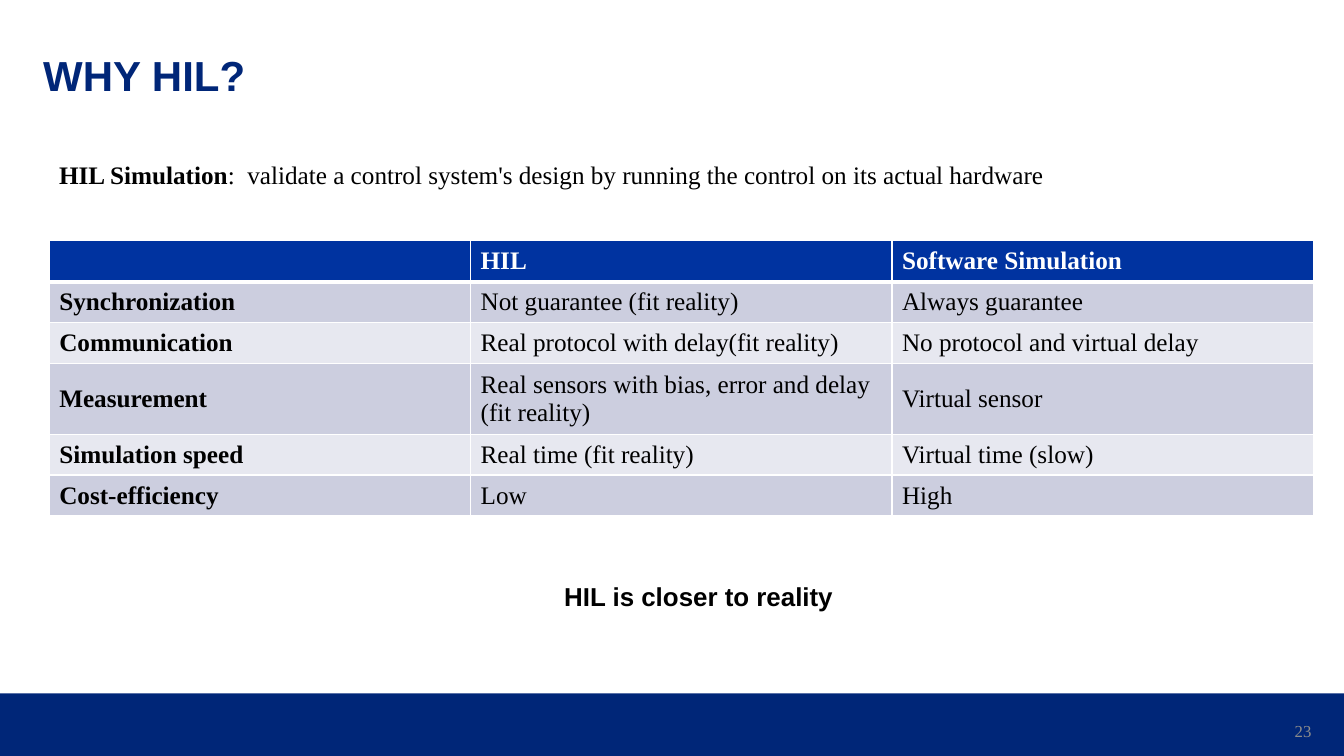
from lxml import etree
from pptx import Presentation
from pptx.dml.color import RGBColor
from pptx.enum.shapes import MSO_SHAPE
from pptx.enum.text import MSO_ANCHOR, PP_ALIGN
from pptx.oxml.ns import qn
from pptx.util import Cm, Pt

RECTANGLE = MSO_SHAPE.RECTANGLE
TOP, MIDDLE, BOTTOM = MSO_ANCHOR.TOP, MSO_ANCHOR.MIDDLE, MSO_ANCHOR.BOTTOM
LEFT, RIGHT = PP_ALIGN.LEFT, PP_ALIGN.RIGHT
SANS, SERIF = "Arial", "Times New Roman"
COLORS = {
    "navy": "002678",
    "header": "0033A0",
    "odd_row": "CCCEDF",
    "even_row": "E7E8F0",
    "white": "FFFFFF",
    "black": "000000",
    "gray": "8C8C8C",
}


def format_runs(paragraph, font_name, size, color, bold):
    for run in paragraph.runs:
        run.font.name = font_name
        run.font.size = Pt(size)
        run.font.bold = bold
        run.font.color.rgb = RGBColor.from_string(COLORS[color])


def add_text(box, text, font_name, size, color, bold, anchor=TOP, align=LEFT):
    shape = slide.shapes.add_textbox(*[Cm(length) for length in box])
    shape.text_frame.word_wrap = True
    shape.text_frame.vertical_anchor = anchor
    shape.text_frame.text = text
    paragraph = shape.text_frame.paragraphs[0]
    paragraph.alignment = align
    format_runs(paragraph, font_name, size, color, bold)
    return paragraph


presentation = Presentation()
presentation.slide_width = Cm(33.87)
presentation.slide_height = Cm(19.05)
slide = presentation.slides.add_slide(presentation.slide_layouts[6])

footer = slide.shapes.add_shape(RECTANGLE, 0, Cm(17.47), Cm(33.87), Cm(1.58))
footer.shadow.inherit = False
footer.fill.solid()
footer.fill.fore_color.rgb = RGBColor.from_string(COLORS["navy"])
footer.line.fill.background()

add_text((31.55, 17.91, 1.75, 1.02), "23", SERIF, 12, "gray", False, MIDDLE, RIGHT)
conclusion = add_text((13.97, 14.66, 7.6, 0.89), "HIL is closer to reality", SANS, 18.5, "black", True)
conclusion.line_spacing = 0.8
conclusion.space_after = Pt(12)
title = add_text((0.84, 1.17, 27.05, 1.5), "WHY HIL?", SANS, 30, "navy", True, BOTTOM)
title.line_spacing = 0.9

definition = add_text((1.24, 3.89, 31.85, 1.02), "HIL Simulation", SERIF, 18, "black", True)
explanation = definition.add_run()
explanation.text = ":  validate a control system's design by running the control on its actual hardware"
format_runs(definition, SERIF, 18, "black", False)
definition.runs[0].font.bold = True

rows = [
    ("", "HIL", "Software Simulation"),
    ("Synchronization", "Not guarantee (fit reality)", "Always guarantee"),
    ("Communication", "Real protocol with delay(fit reality)", "No protocol and virtual delay"),
    ("Measurement", "Real sensors with bias, error and delay\n(fit reality)", "Virtual sensor"),
    ("Simulation speed", "Real time (fit reality)", "Virtual time (slow)"),
    ("Cost-efficiency", "Low", "High"),
]
table_frame = slide.shapes.add_table(len(rows), 3, Cm(1.24), Cm(6.07), Cm(31.86), Cm(6.85))
table = table_frame.table
for column in table.columns:
    column.width = Cm(10.62)

for row_index, row in enumerate(rows):
    is_header = row_index == 0
    table.rows[row_index].height = Cm(1.65 if "\n" in row[1] else 1.03)
    fill_color = "header" if is_header else "odd_row" if row_index % 2 else "even_row"
    widths = {"lnL": 1, "lnR": 1, "lnT": 3 if row_index == 1 else 1, "lnB": 3 if is_header else 1}
    for column_index, text in enumerate(row):
        cell = table.cell(row_index, column_index)
        cell.vertical_anchor = MIDDLE
        cell.text_frame.text = text
        for paragraph in cell.text_frame.paragraphs:
            text_color = "white" if is_header else "black"
            format_runs(paragraph, SERIF, 18, text_color, is_header or column_index == 0)
        properties = cell._tc.get_or_add_tcPr()
        for side, width in widths.items():
            border = etree.SubElement(properties, qn("a:" + side), w=str(Pt(width)))
            border_fill = etree.SubElement(border, qn("a:solidFill"))
            etree.SubElement(border_fill, qn("a:srgbClr"), val=COLORS["white"])
        cell.fill.solid()
        cell.fill.fore_color.rgb = RGBColor.from_string(COLORS[fill_color])

presentation.save("out.pptx")
